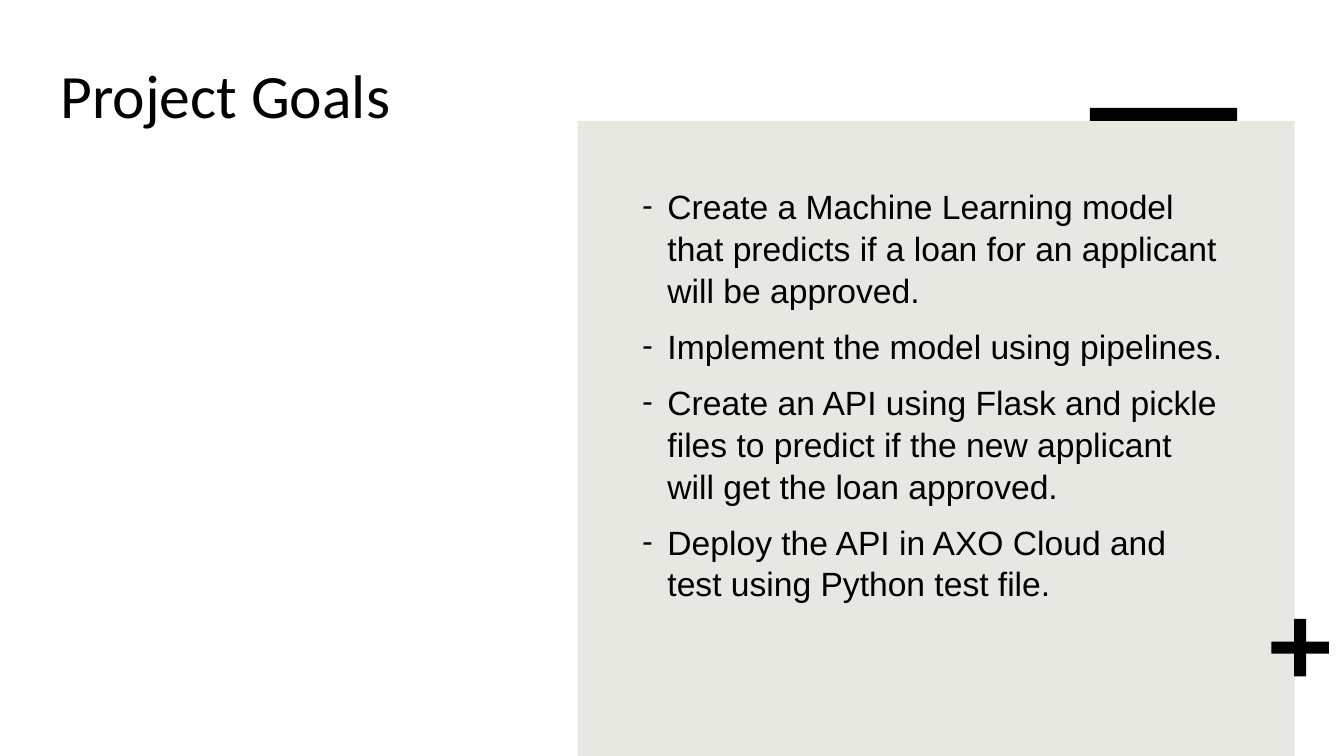
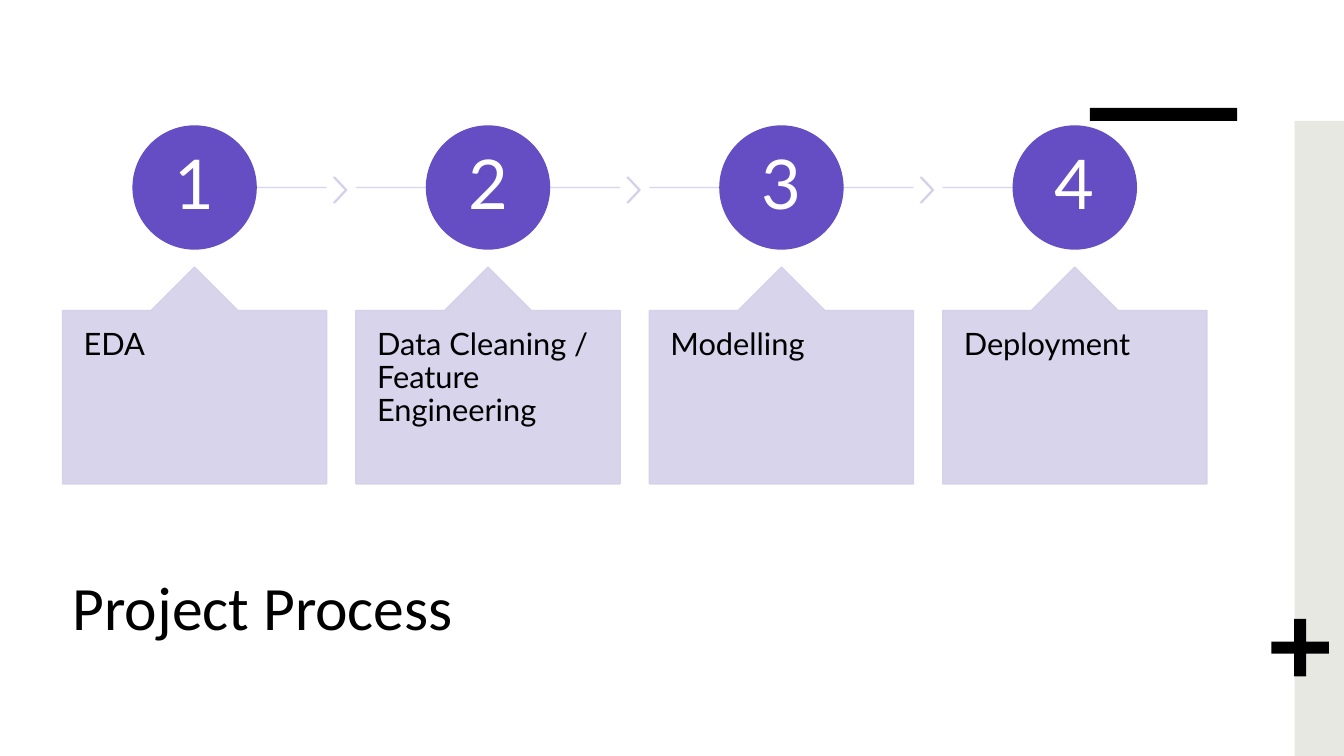
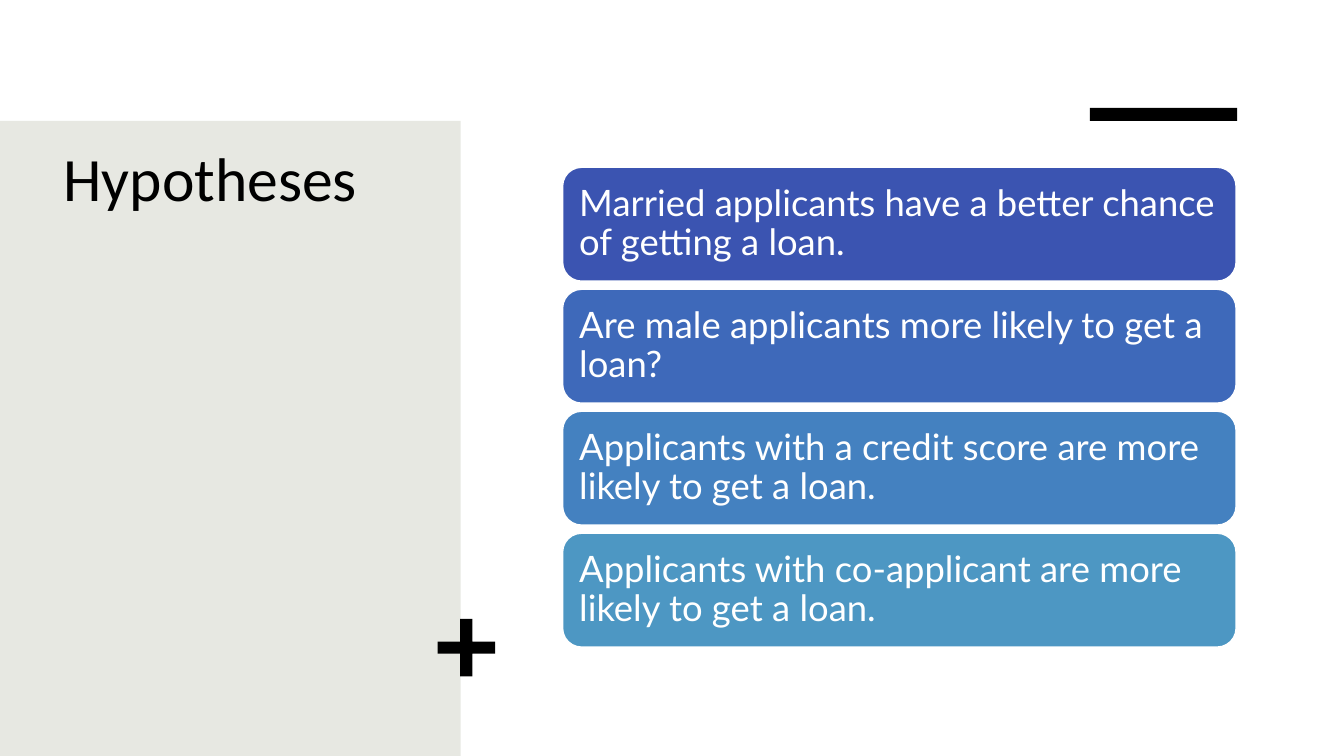
import pptx
import pptx.util
import pptx.dml.color
import pptx.enum.shapes
import pptx.enum.text
import pptx.oxml
import pptx.oxml.ns
from lxml import etree

Inches, Pt = pptx.util.Inches, pptx.util.Pt
RGB = pptx.dml.color.RGBColor.from_string
SHAPE = pptx.enum.shapes.MSO_SHAPE
ANCHOR = pptx.enum.text.MSO_ANCHOR
ALIGN = pptx.enum.text.PP_ALIGN
qn = pptx.oxml.ns.qn


class Theme:
    black, white = RGB("000000"), RGB("FFFFFF")
    panel = RGB("E7E8E2")
    step, step_soft = RGB("654DC3"), RGB("D3D0E9")
    cards = [RGB(c) for c in ("3B54B1", "3E69BA", "4481C0", "4D97C3")]
    title = {"name": "Calibri", "size": Pt(44)}
    body = {"name": "Arial", "size": Pt(24)}
    number = {"name": "Lato", "size": Pt(49)}
    label = {"name": "Lato", "size": Pt(22)}
    card = {"name": "Lato", "size": Pt(26)}


def add_block(s, kind, box, fill, line=None, adjust=()):
    sp = s.shapes.add_shape(kind, *map(Inches, box))
    sp.shadow.inherit = False
    sp.fill.solid()
    sp.fill.fore_color.rgb = fill
    if line is None:
        sp.line.fill.background()
    else:
        sp.line.color.rgb = line
        sp.line.width = Pt(1)
    for i, value in enumerate(adjust):
        sp.adjustments[i] = value
    return sp


def write(tf, lines, font, color, anchor=ANCHOR.TOP, inset=(0.1, 0.05), **para):
    x, y = map(Inches, inset)
    frame = {"word_wrap": True, "auto_size": pptx.enum.text.MSO_AUTO_SIZE.NONE,
             "vertical_anchor": anchor, "margin_left": x, "margin_right": x,
             "margin_top": y, "margin_bottom": y}
    for name, value in frame.items():
        setattr(tf, name, value)
    for i, line in enumerate(lines):
        p = tf.add_paragraph() if i else tf.paragraphs[0]
        for name, value in {"alignment": ALIGN.LEFT, **para}.items():
            setattr(p, name, value)
        r = p.add_run()
        r.text = line
        for name, value in font.items():
            setattr(r.font, name, value)
        r.font.color.rgb = color


prs = pptx.Presentation()
prs.slide_width, prs.slide_height = Inches(13.33), Inches(7.5)

frames = [
    (1, "Project Goals", (0.5, 0.51, 4.5, 5.11), ANCHOR.TOP, (5.73, 7.11), 12.61),
    (5, "Project Process", (0.62, 4.85, 9.04, 1.58), ANCHOR.BOTTOM, (12.84, 0.49), 12.61),
    (5, "Hypotheses", (0.53, 1.34, 3.5, 4.4), ANCHOR.TOP, (0, 4.57), 4.34),
]
slides = []
for layout, title, box, anchor, (panel_left, panel_width), plus_left in frames:
    s = prs.slides.add_slide(prs.slide_layouts[layout])
    sp = s.shapes.title
    sp.left, sp.top, sp.width, sp.height = map(Inches, box)
    write(sp.text_frame, [title], Theme.title, Theme.black, anchor)
    panel = add_block(s, SHAPE.RECTANGLE, (panel_left, 1.2, panel_width, 6.3), Theme.panel)
    sp._element.addprevious(panel._element)
    add_block(s, SHAPE.RECTANGLE, (10.81, 1.07, 1.46, 0.13), Theme.black)
    add_block(s, SHAPE.CROSS, (plus_left, 6.14, 0.57, 0.57), Theme.black, adjust=[0.395])
    slides.append(s)
goals, process, hypotheses = slides

sp = goals.placeholders[1]
sp.left, sp.top, sp.width, sp.height = map(Inches, (6.27, 1.78, 6, 5.13))
write(sp.text_frame, [
    "Create a Machine Learning model that predicts if a loan for an applicant will be approved.",
    "Implement the model using pipelines.",
    "Create an API using Flask and pickle files to predict if the new applicant will get the loan approved.",
    "Deploy the API in AXO Cloud and test using Python test file.",
], Theme.body, Theme.black, space_before=Pt(10), line_spacing=1.04)
for p in sp.text_frame.paragraphs:
    pPr = p._p.get_or_add_pPr()
    pPr.set("marL", str(Inches(0.25)))
    pPr.set("indent", str(Inches(-0.25)))
    etree.SubElement(pPr, qn("a:buFont"), typeface="Calibri")
    etree.SubElement(pPr, qn("a:buChar"), char="-")

steps = ["EDA", "Data Cleaning / Feature Engineering", "Modelling", "Deployment"]
step_left, step_width, step_pitch = 0.62, 2.62, 2.91
circle, line_y = 1.22, 1.86
for i, step in enumerate(steps):
    left = step_left + i * step_pitch
    right, middle = left + step_width, left + step_width / 2
    first, last = i == 0, i == len(steps) - 1
    line = process.shapes.add_connector(
        pptx.enum.shapes.MSO_CONNECTOR.STRAIGHT,
        Inches(middle if first else left), Inches(line_y),
        Inches(middle if last else right), Inches(line_y))
    line.line.color.rgb = Theme.step_soft
    line.line.width = Pt(1)
    etree.SubElement(line._element.spPr, qn("a:effectLst"))
    callout = add_block(process, SHAPE.UP_ARROW_CALLOUT, (left, 2.65, step_width, 2.15),
                        Theme.step_soft, Theme.step_soft, [0.5, 0.2, 0.2, 1])
    write(callout.text_frame, [step], Theme.label, Theme.black,
          inset=(0.21, 0.18), line_spacing=0.9)
    soft = [line, callout]
    if not last:
        soft.append(add_block(process, SHAPE.CHEVRON, (right + 0.07, 1.76, 0.13, 0.25),
                              Theme.step_soft, Theme.step_soft, [0.9]))
    for sp in soft:
        for clr in sp._element.spPr.iter(qn("a:srgbClr")):
            etree.SubElement(clr, qn("a:alpha"), val="90000")
    sp = add_block(process, SHAPE.OVAL, (middle - circle / 2, line_y - circle / 2, circle, circle),
                   Theme.step, Theme.step)
    write(sp.text_frame, [str(i + 1)], Theme.number, Theme.white, ANCHOR.MIDDLE,
          inset=(0.05, 0.05), alignment=ALIGN.CENTER, line_spacing=0.9)

claims = [
    "Married applicants have a better chance of getting a loan.",
    "Are male applicants more likely to get a loan?",
    "Applicants with a credit score are more likely to get a loan.",
    "Applicants with co-applicant are more likely to get a loan.",
]
for i, (claim, color) in enumerate(zip(claims, Theme.cards)):
    sp = add_block(hypotheses, SHAPE.ROUNDED_RECTANGLE, (5.58, 1.66 + i * 1.21, 6.68, 1.13),
                   color, Theme.white)
    write(sp.text_frame, [claim], Theme.card, Theme.white, ANCHOR.MIDDLE,
          inset=(0.11, 0.11), line_spacing=0.9)

prs.save("out.pptx")
